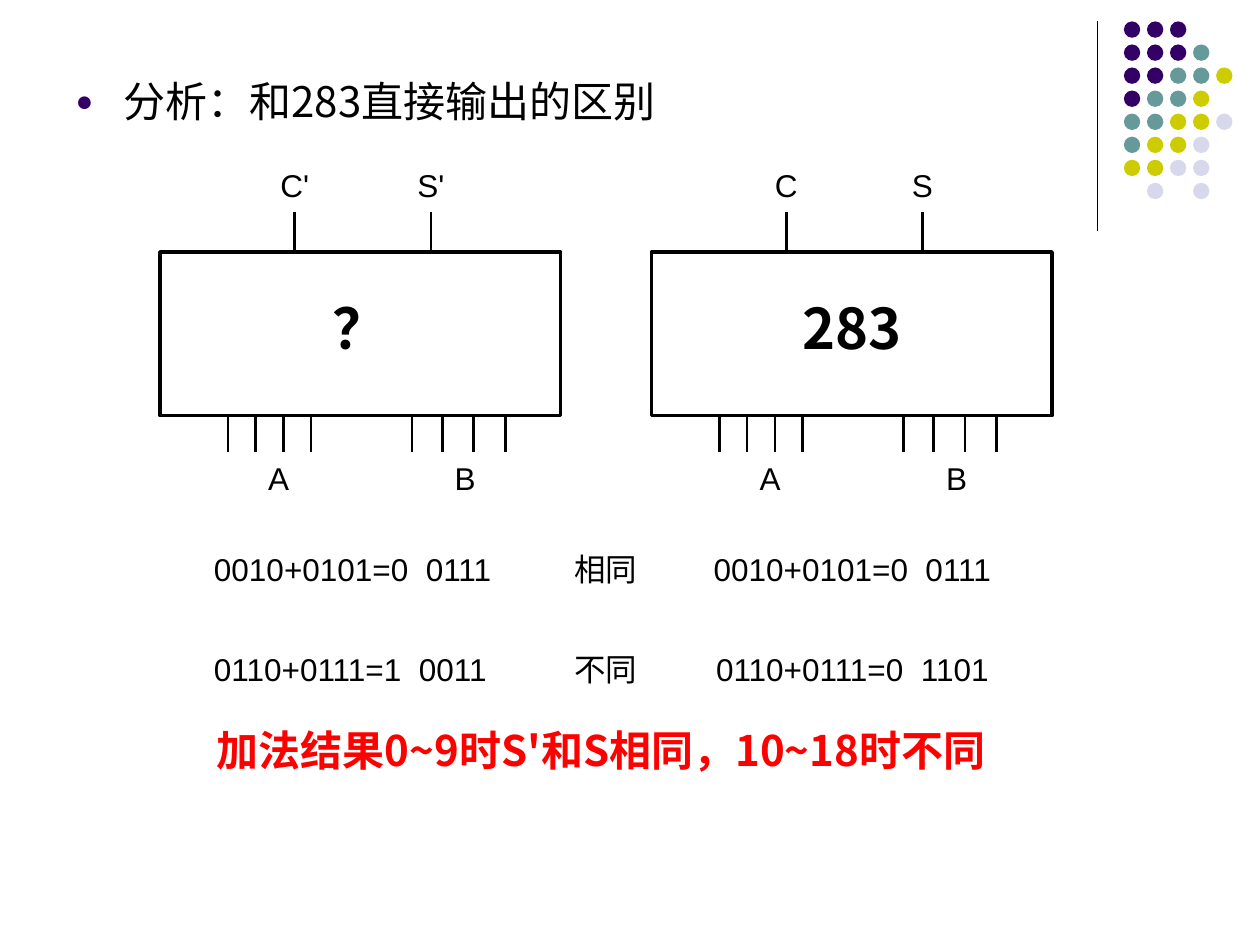
"""Build the slide comparing an unknown adder with the 283 output."""
from lxml import etree
from pptx import Presentation
from pptx import util as u
from pptx.dml.color import RGBColor
from pptx.enum import shapes, text
from pptx.oxml.ns import qn

CJK, LATIN = "Noto Sans CJK SC", "Arial"
LEFT, CENTER = text.PP_ALIGN.LEFT, text.PP_ALIGN.CENTER
HEADING = "分析：和283直接输出的区别"
CONCLUSION = "加法结果0~9时S'和S相同，10~18时不同"
ADDERS = [
    dict(left=1.27, name="？", outputs=("C'", "S'"), align=LEFT,
         sums=("0010+0101=0  0111", "0110+0111=1  0011")),
    dict(left=5.17, name="283", outputs=("C", "S"), align=CENTER,
         sums=("0010+0101=0  0111", "0110+0111=0  1101")),
]
VERDICTS = ("相同", "不同")
INPUTS = [("A", 0.76), ("B", 2.24)]
INPUT_PINS = (0.54, 0.76, 0.98, 1.2, 2, 2.24, 2.49, 2.74)
OUTPUT_PINS = (1.07, 2.15)
BOX_TOP, BOX_W, BOX_H = 2, 3.18, 1.3
BOX_BOTTOM = BOX_TOP + BOX_H
PIN_TOP, PIN_BOTTOM = 1.68, 3.59
LABEL_W, LABEL_H = 0.62, 0.4
SUM_TOP, SUM_PITCH = 4.32, 0.79
DOTS = ["PPP", "PPPT", "PPTTY", "PTTY", "TTYYL", "TYYL", "YYLL", " L L"]
DOT_COLORS = dict(P="330066", T="669999", Y="CCCC00", L="D8D8EC")
DOT_LEFT, DOT_TOP, DOT_PITCH, DOT_SIZE = 8.92, 0.17, 0.183, 0.13


def color(value):
    return RGBColor.from_string(value)


def inches(*values):
    return [u.Inches(value) for value in values]


def style(paragraph, size, font, fill="000000", bold=False):
    for run in paragraph.runs:
        run.font.size, run.font.name, run.font.bold = u.Pt(size), font, bold
        run.font.color.rgb = color(fill)
        etree.SubElement(run.font._element, qn("a:ea"), typeface=font)


def write(slide, words, area, size=18, font=LATIN, align=LEFT, **look):
    frame = slide.shapes.add_textbox(*inches(*area)).text_frame
    frame.word_wrap = True
    frame.text = words
    frame.paragraphs[0].alignment = align
    style(frame.paragraphs[0], size, font, **look)


def rule(slide, x, top, bottom, width=1.5):
    line = slide.shapes.add_connector(
        shapes.MSO_CONNECTOR.STRAIGHT, *inches(x, top, x, bottom))
    line.line.color.rgb = color("000000")
    line.line.width = u.Pt(width)
    etree.SubElement(line._element.spPr, qn("a:effectLst"))


def draw(target, kind, area, fill):
    shape = target.add_shape(kind, *inches(*area))
    shape.shadow.inherit = False
    shape.fill.solid()
    shape.fill.fore_color.rgb = color(fill)
    shape.line.fill.background()
    return shape


def add_dots(slide):
    rule(slide, 8.71, 0.17, 1.83, 0.75)
    group = slide.shapes.add_group_shape()
    for row, codes in enumerate(DOTS):
        for column, code in enumerate(codes):
            if code in DOT_COLORS:
                area = (DOT_LEFT + column * DOT_PITCH, DOT_TOP + row * DOT_PITCH,
                        DOT_SIZE, DOT_SIZE)
                draw(group.shapes, shapes.MSO_SHAPE.OVAL, area, DOT_COLORS[code])


def add_heading(slide):
    heading = slide.placeholders[1]
    heading.left, heading.top, heading.width, heading.height = inches(0.5, 0.55, 9, 4.82)
    heading.text_frame.text = HEADING
    paragraph = heading.text_frame.paragraphs[0]
    style(paragraph, 24, CJK)
    props = paragraph._p.get_or_add_pPr()
    props.set("marL", str(u.Inches(0.38)))
    props.set("indent", str(u.Inches(-0.38)))
    bullet = etree.SubElement(props, qn("a:buClr"))
    etree.SubElement(bullet, qn("a:srgbClr"), val="330066")
    etree.SubElement(props, qn("a:buSzPct"), val="70000")
    etree.SubElement(props, qn("a:buFont"), typeface=LATIN)
    etree.SubElement(props, qn("a:buChar"), char="●")


def add_adder(slide, left, name, outputs, align, sums):
    box = draw(slide.shapes, shapes.MSO_SHAPE.RECTANGLE,
               (left, BOX_TOP, BOX_W, BOX_H), "FFFFFF")
    box.line.color.rgb = color("000000")
    box.line.width = u.Pt(2)
    for pin in INPUT_PINS:
        rule(slide, left + pin, BOX_BOTTOM, PIN_BOTTOM)
    for label, offset in INPUTS:
        write(slide, label, (left + offset, PIN_BOTTOM, LABEL_W, LABEL_H))
    for label, pin in zip(outputs, OUTPUT_PINS):
        rule(slide, left + pin, PIN_TOP, BOX_TOP)
        write(slide, label, (left + pin - LABEL_W / 2, 1.27, LABEL_W, LABEL_H),
              align=CENTER)
    write(slide, name, (left + 0.93, 2.28, 1.32, 0.64), 32, CJK, CENTER, bold=True)
    for row, words in enumerate(sums):
        write(slide, words, (left + 0.33, SUM_TOP + row * SUM_PITCH, 2.53, LABEL_H),
              align=align)


def main():
    deck = Presentation()
    deck.slide_width, deck.slide_height = inches(10, 7.5)
    slide = deck.slides.add_slide(deck.slide_layouts[1])
    title = slide.shapes.title._element
    title.getparent().remove(title)
    add_dots(slide)
    add_heading(slide)
    for adder in ADDERS:
        add_adder(slide, **adder)
    for row, verdict in enumerate(VERDICTS):
        write(slide, verdict, (4.46, SUM_TOP + row * SUM_PITCH, 0.79, LABEL_H), font=CJK)
    write(slide, CONCLUSION, (1.45, 5.7, 6.64, 0.5), 24, CJK, CENTER,
          fill="FF0000", bold=True)
    deck.save("out.pptx")


if __name__ == "__main__":
    main()
